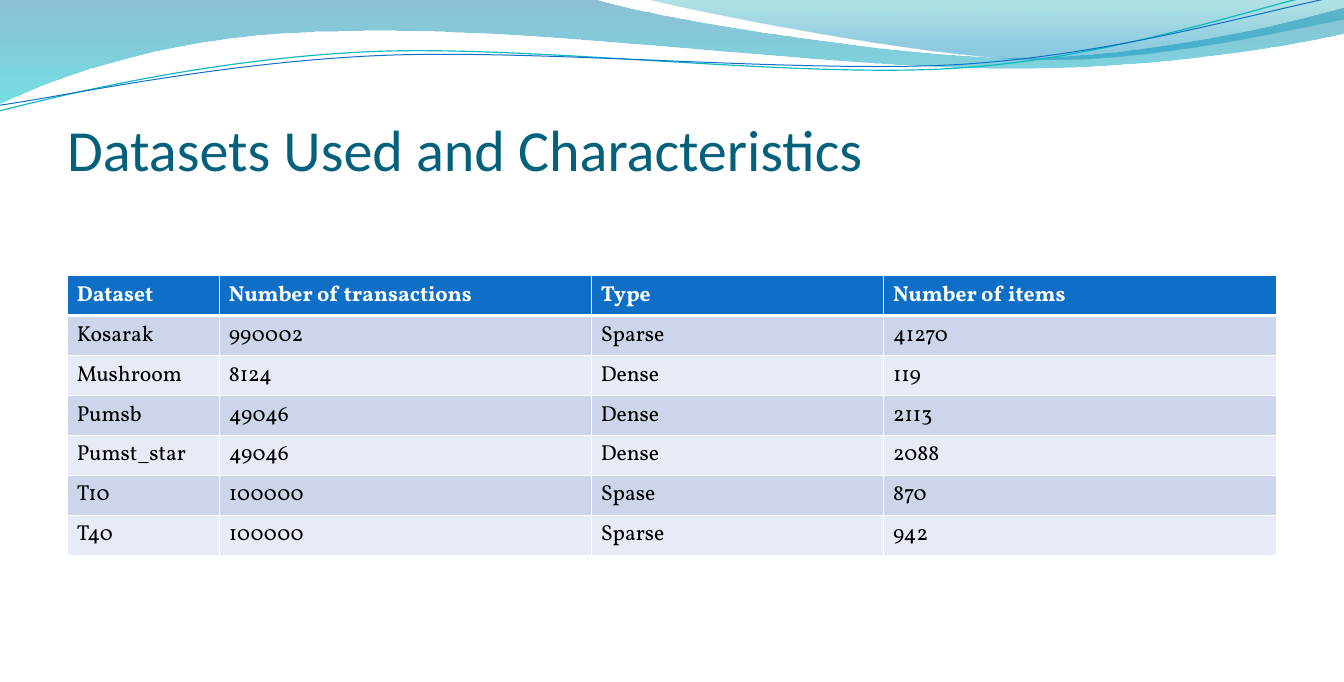
from lxml.etree import SubElement
from pptx import Presentation
from pptx.dml.color import RGBColor
from pptx.enum.text import MSO_ANCHOR
from pptx.oxml.ns import qn
from pptx.util import Inches, Pt

# Wave outlines: a start point, then straight (2 numbers) or cubic (6 numbers) pieces
BACK_WAVE = [(0, 0), (6.08, -0.01), (6.56, 0.16, 9.16, 0.59, 10.47, 0.59),
             (11.77, 0.59, 13.23, 0.24, 13.8, 0.08), (13.81, 0.34),
             (13.57, 0.41, 12, 0.71, 10.29, 0.7), (8.58, 0.7, 5.27, 0.26, 3.55, 0.32),
             (1.78, 0.33, 0.63, 0.77, -0.01, 1.06), (0, 0)]
FRONT_WAVE = [(6.61, -0.01), (7.03, 0.1, 9.41, 0.58, 10.61, 0.61),
              (11.81, 0.64, 13.27, 0.3, 13.8, 0.2), (13.8, 0), (6.61, -0.01)]
TEAL_LINE = [(-0.01, 1.14), (0.66, 0.97, 2.18, 0.6, 3.82, 0.53),
             (5.46, 0.46, 8.17, 0.81, 9.83, 0.7), (11.49, 0.59, 12.95, 0.05, 13.78, -0.12)]
BLUE_LINE = [(0, 1.08), (0.65, 0.99, 2.26, 0.64, 3.91, 0.57),
             (5.56, 0.5, 8.24, 0.76, 9.89, 0.66), (11.54, 0.55, 12.99, 0.1, 13.81, -0.05)]

COLUMN_WIDTHS = [1.56, 3.82, 3, 4.04]
ROWS = [
    ("Dataset", "Number of transactions", "Type", "Number of items"),
    ("Kosarak", "990002", "Sparse", "41270"),
    ("Mushroom", "8124", "Dense", "119"),
    ("Pumsb", "49046", "Dense", "2113"),
    ("Pumst_star", "49046", "Dense", "2088"),
    ("T10", "100000", "Spase", "870"),
    ("T40", "100000", "Sparse", "942"),
]


def color(value):
    return RGBColor.from_string(value)


def set_format(target, values):
    for name, value in values.items():
        setattr(target, name, value)


def add_outline(s, box, pieces, close):
    """Draw through every point, then merge each cubic's three points into a curve."""
    left, top = box[:2]
    points = [(left + Inches(x), top + Inches(y))
              for piece in pieces for x, y in zip(piece[::2], piece[1::2])]
    builder = s.shapes.build_freeform(*points[0])
    builder.add_line_segments(points[1:], close=close)
    sp = builder.convert_to_shape()
    sp.shadow.inherit = False

    segments = iter(list(sp._element.spPr.iter(qn("a:lnTo"))))
    for piece in pieces[1:]:
        segment = next(segments)
        if len(piece) == 6:
            curve = segment.makeelement(qn("a:cubicBezTo"))
            segment.addprevious(curve)
            for part in (segment, next(segments), next(segments)):
                curve.append(part[0])
                part.getparent().remove(part)
    return sp


def add_waves(s, box):
    # Translucent gradient waves; each stop is position, colour, opacity
    for pieces, stops in (
        (BACK_WAVE, ((0, "0074A1", 45), (1, "00C6CF", 55))),
        (FRONT_WAVE, ((0, "00A1A9", 30), (0.8, "008BBF", 45))),
    ):
        sp = add_outline(s, box, pieces, True)
        sp.line.fill.background()
        sp.fill.gradient()
        sp.fill.gradient_angle = 270
        for stop, (position, value, _) in zip(sp.fill.gradient_stops, stops):
            stop.position = position
            stop.color.rgb = color(value)
        for clr, (_, _, opacity) in zip(sp._element.spPr.iter(qn("a:srgbClr")), stops):
            SubElement(clr, qn("a:alpha")).set("val", str(opacity * 1000))

    # Thin wave lines
    for pieces, value, width in ((TEAL_LINE, "0AB8BF", 0.85), (BLUE_LINE, "0F6FC6", 0.75)):
        sp = add_outline(s, box, pieces, False)
        sp.fill.background()
        sp.line.color.rgb = color(value)
        sp.line.width = Pt(width)


def add_title(s, box, text):
    tf = s.shapes.add_textbox(*box).text_frame
    set_format(tf, {"word_wrap": True, "vertical_anchor": MSO_ANCHOR.BOTTOM,
                    "margin_left": 0, "margin_right": 0,
                    "margin_top": Inches(0.04), "margin_bottom": 0})
    r = tf.paragraphs[0].add_run()
    r.text = text
    set_format(r.font, {"name": "Calibri", "size": Pt(43)})
    r.font.color.rgb = color("04617B")


def set_borders(cell, widths):
    tcPr = cell._tc.get_or_add_tcPr()
    for side, width in widths.items():
        ln = SubElement(tcPr, qn(f"a:ln{side}"), w=str(Pt(width)))
        SubElement(SubElement(ln, qn("a:solidFill")), qn("a:srgbClr"), val="FFFFFF")


def add_dataset_table(s, box):
    table = s.shapes.add_table(len(ROWS), len(COLUMN_WIDTHS), *box).table
    for column, width in zip(table.columns, COLUMN_WIDTHS):
        column.width = Inches(width)
    for i, row in enumerate(ROWS):
        header = i == 0
        fill = "0F6FC6" if header else ("E7EBF5", "CCD5EA")[i % 2]
        # A thick rule separates the header from the body
        borders = {"L": 1, "R": 1, "T": 3 if i == 1 else 1, "B": 3 if header else 1}
        for j, text in enumerate(row):
            cell = table.cell(i, j)
            set_borders(cell, borders)
            cell.fill.solid()
            cell.fill.fore_color.rgb = color(fill)
            r = cell.text_frame.paragraphs[0].add_run()
            r.text = text
            set_format(r.font, {"name": "Vollkorn", "size": Pt(16), "bold": header})
            r.font.color.rgb = color("FFFFFF" if header else "000000")


def main():
    prs = Presentation()
    prs.slide_width, prs.slide_height = Inches(13.8), Inches(7)
    s = prs.slides.add_slide(prs.slide_layouts[6])
    left, width = Inches(0.69), Inches(12.42)
    add_waves(s, (0, 0, prs.slide_width, Inches(1.14)))
    add_title(s, (left, Inches(0.71), width, Inches(1.17)), "Datasets Used and Characteristics")
    add_dataset_table(s, (left, Inches(2.83), width, Inches(0.41 * len(ROWS))))
    prs.save("out.pptx")


if __name__ == "__main__":
    main()
